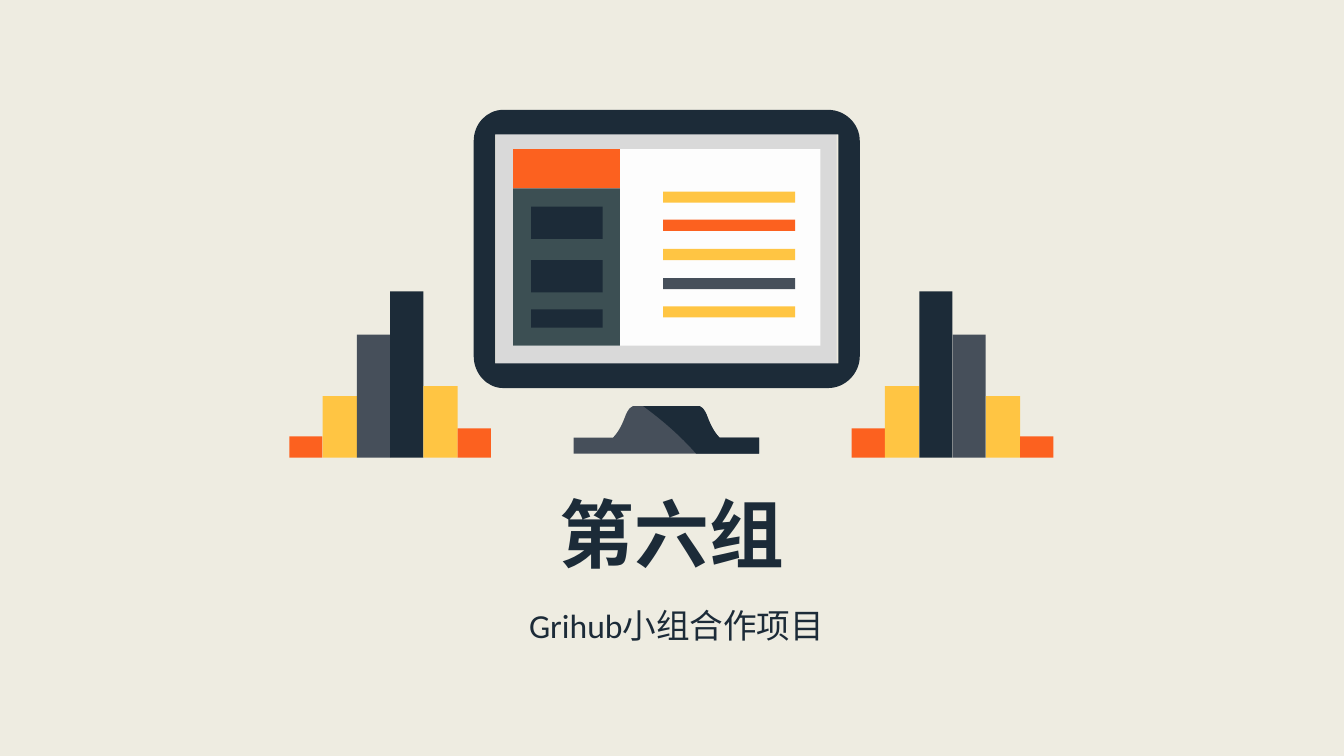
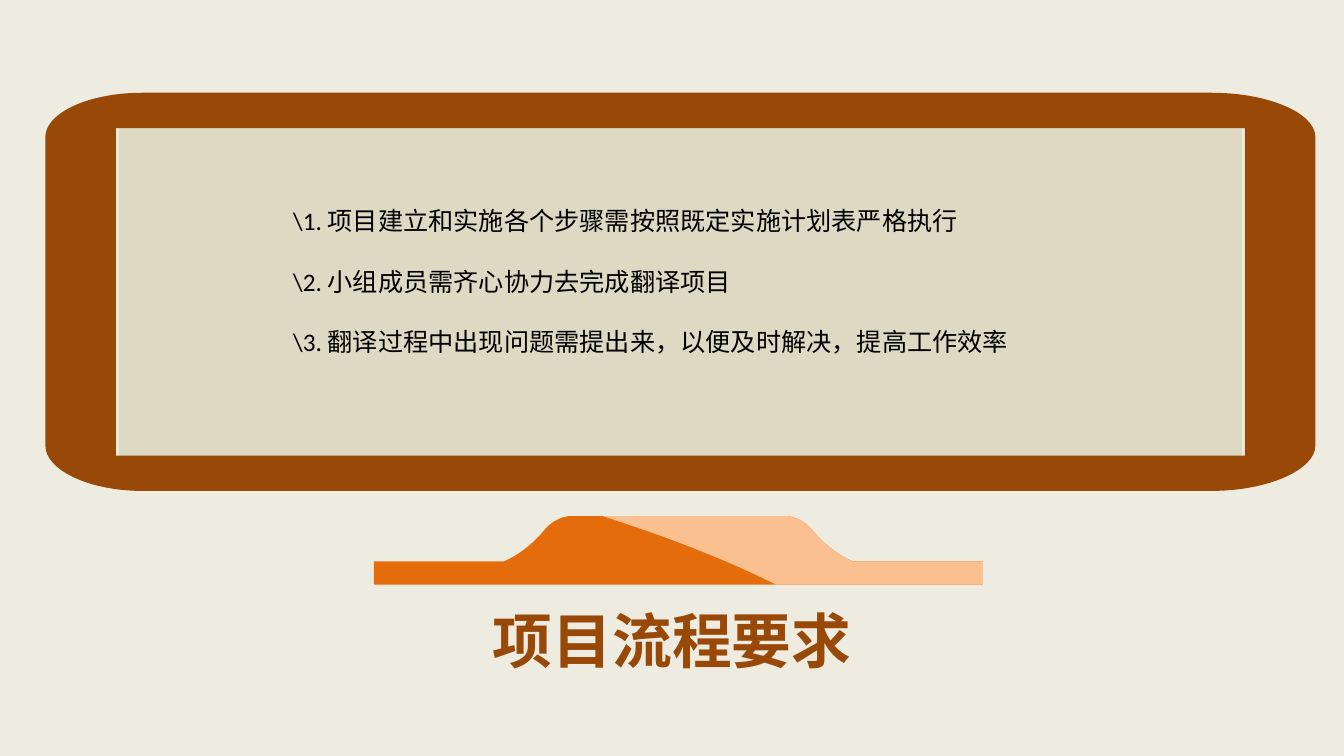
from dataclasses import dataclass
from typing import NamedTuple

from lxml.etree import SubElement
from pptx import Presentation
from pptx.dml.color import RGBColor
from pptx.enum.shapes import MSO_SHAPE as Preset
from pptx.enum.text import MSO_AUTO_SIZE as AutoSize, PP_ALIGN as Align
from pptx.oxml.ns import qn
from pptx.util import Pt

PX = 9144  # EMU per px, 100 px to the inch
FONT = "Calibri"
COLORS = {
    "paper": "EEECE1", "navy": "1C2B38", "slate": "464F5A", "teal": "3C4F53",
    "orange": "FC611F", "yellow": "FFC543", "silver": "D9D9D9", "white": "FDFDFD",
    "brown": "984807", "sand": "DDD9C3", "amber": "E46C0A", "peach": "FAC090",
    "black": "000000",
}


class Box(NamedTuple):
    left: int
    top: int
    width: int
    height: int


class Panel(NamedTuple):
    box: Box
    color: str


class Bar(NamedTuple):
    height: int
    color: str


@dataclass(frozen=True)
class Outline:
    """Contours on a local grid: a 2-tuple is a line, a 6-tuple is a curve."""
    width: int
    height: int
    contours: tuple


@dataclass(frozen=True)
class TextStyle:
    size: float
    color: str
    bold: bool = False
    align: Align = Align.LEFT
    gap: float = 0


# Outlines shared by both monitors
FRAME = Outline(1260, 395, (
    ((1157, 0), (96, 0), (43, 0, 0, 20, 0, 44), (0, 350),
     (0, 374, 43, 395, 96, 395), (1157, 395),
     (1213, 395, 1260, 374, 1260, 350), (1260, 44),
     (1260, 20, 1213, 0, 1157, 0)),
    ((1190, 360), (70, 360), (70, 35), (1190, 35)),
))
STAND_RIGHT = ((475, 45), (464, 40, 449, 31, 435, 14), (435, 14, 426, 2, 411, 0))
STAND = Outline(604, 68, (
    STAND_RIGHT + ((193, 0), (178, 2, 169, 14, 169, 14),
                   (155, 31, 140, 40, 129, 45), (0, 45), (0, 68),
                   (604, 68), (604, 45)),
))
STAND_SHADE = Outline(604, 68, (
    STAND_RIGHT + ((227, 0), (289, 20, 347, 42, 399, 68), (604, 68), (604, 45)),
))

# Cover artwork
SCREEN = (
    Panel(Box(492, 133, 338, 238), "silver"),
    Panel(Box(509, 148, 305, 195), "white"),
)
SIDEBAR = (
    Panel(Box(509, 148, 106, 39), "orange"),
    Panel(Box(509, 187, 106, 156), "teal"),
    Panel(Box(527, 205, 71, 32), "navy"),
    Panel(Box(527, 258, 71, 32), "navy"),
    Panel(Box(527, 307, 71, 18), "navy"),
)
LINE_COLORS = ("yellow", "orange", "yellow", "slate", "yellow")
LINE_PITCH = 28.5
BARS = (Bar(21, "orange"), Bar(61, "yellow"), Bar(122, "slate"),
        Bar(165, "navy"), Bar(71, "yellow"), Bar(29, "orange"))
BARS_BOTTOM = 454
BARS_WIDTH = 200

RULES = (
    "\\1. 项目建立和实施各个步骤需按照既定实施计划表严格执行",
    "\\2. 小组成员需齐心协力去完成翻译项目",
    "\\3. 翻译过程中出现问题需提出来，以便及时解决，提高工作效率",
)


def rgb(name: str) -> RGBColor:
    return RGBColor.from_string(COLORS[name])


def paint(shape, color: str) -> None:
    shape.shadow.inherit = False
    shape.fill.solid()
    shape.fill.fore_color.rgb = rgb(color)
    shape.line.fill.background()


def add_panel(art, panel: Panel) -> None:
    shape = art.add_shape(Preset.RECTANGLE, *(side * PX for side in panel.box))
    paint(shape, panel.color)


def bend(segment, points: list[tuple[int, int]]) -> None:
    """Turn a straight segment into a cubic curve through the given points."""
    segment.tag = qn("a:cubicBezTo")
    for child in list(segment):
        segment.remove(child)
    for x, y in points:
        SubElement(segment, qn("a:pt"), x=str(x), y=str(y))


def add_outline(art, outline: Outline, box: Box, color: str) -> None:
    def place(step: tuple) -> list[tuple[int, int]]:
        return [(round((box.left + x * box.width / outline.width) * PX),
                 round((box.top + y * box.height / outline.height) * PX))
                for x, y in zip(step[::2], step[1::2])]

    contours = [[place(step) for step in contour] for contour in outline.contours]
    builder = art.build_freeform(*contours[0][0][0])
    for index, (start, *steps) in enumerate(contours):
        if index:
            builder.move_to(*start[0])
        builder.add_line_segments([step[-1] for step in steps], close=True)
    shape = builder.convert_to_shape()
    paint(shape, color)

    # Curves, in coordinates relative to the shape
    left, top = box.left * PX, box.top * PX
    if outline is STAND_SHADE:
        left, top = shape.left, shape.top
    segments = list(shape.element.iter(qn("a:lnTo")))
    steps = [step for contour in contours for step in contour[1:]]
    for segment, step in zip(segments, steps):
        if len(step) == 3:
            bend(segment, [(x - left, y - top) for x, y in step])


def add_stand(art, box: Box, color: str, shade: str) -> None:
    add_outline(art, STAND, box, color)
    add_outline(art, STAND_SHADE, box, shade)


def add_bars(art, left: int, bars: tuple[Bar, ...]) -> None:
    edges = [left + round(i * BARS_WIDTH / len(bars)) for i in range(len(bars) + 1)]
    for bar, start, end in zip(bars, edges, edges[1:]):
        box = Box(start, BARS_BOTTOM - bar.height, end - start, bar.height)
        add_panel(art, Panel(box, bar.color))


def add_text(page, box: Box, lines: tuple[str, ...], style: TextStyle) -> None:
    frame = page.shapes.add_textbox(*(side * PX for side in box)).text_frame
    frame.word_wrap = True
    frame.auto_size = AutoSize.SHAPE_TO_FIT_TEXT
    for index, line in enumerate(lines):
        para = frame.add_paragraph() if index else frame.paragraphs[0]
        para.alignment = style.align
        if index:
            para.space_before = Pt(style.gap)
        span = para.add_run()
        span.text = line
        span.font.name = FONT
        span.font.size = Pt(style.size)
        span.font.bold = style.bold
        span.font.color.rgb = rgb(style.color)


def add_title(page, box: Box, text: str, size: float, color: str) -> None:
    add_text(page, box, (text,), TextStyle(size, color, bold=True, align=Align.CENTER))


def add_page(deck):
    page = deck.slides.add_slide(deck.slide_layouts[6])
    page.background.fill.solid()
    page.background.fill.fore_color.rgb = rgb("paper")
    return page


def build_cover(deck) -> None:
    page = add_page(deck)
    art = page.shapes.add_group_shape().shapes
    # Monitor
    for panel in SCREEN:
        add_panel(art, panel)
    add_outline(art, FRAME, Box(470, 109, 383, 276), "navy")
    add_stand(art, Box(569, 403, 184, 47), "slate", "navy")
    for panel in SIDEBAR:
        add_panel(art, panel)
    for index, color in enumerate(LINE_COLORS):
        add_panel(art, Panel(Box(658, round(190 + index * LINE_PITCH), 131, 11), color))
    # Mirrored bars on both sides
    add_bars(art, 287, BARS)
    add_bars(art, 845, BARS[::-1])
    # Title and subtitle
    add_title(page, Box(544, 479, 245, 100), "第六组", 53.3, "navy")
    add_text(page, Box(515, 595, 315, 50), ("Grihub小组合作项目",), TextStyle(24, "navy"))


def build_rules(deck) -> None:
    page = add_page(deck)
    art = page.shapes.add_group_shape().shapes
    # Monitor
    add_panel(art, Panel(Box(118, 126, 1114, 341), "sand"))
    add_outline(art, FRAME, Box(45, 92, 1260, 395), "brown")
    add_stand(art, Box(371, 512, 604, 68), "amber", "peach")
    # Title and rules
    add_title(page, Box(477, 594, 380, 82), "项目流程要求", 42.7, "brown")
    add_text(page, Box(281, 199, 787, 162), RULES, TextStyle(18, "black", gap=21.6))


def main() -> None:
    deck = Presentation()
    deck.slide_width = 12192000
    deck.slide_height = 750 * PX
    build_cover(deck)
    build_rules(deck)
    deck.save("out.pptx")


if __name__ == "__main__":
    main()
